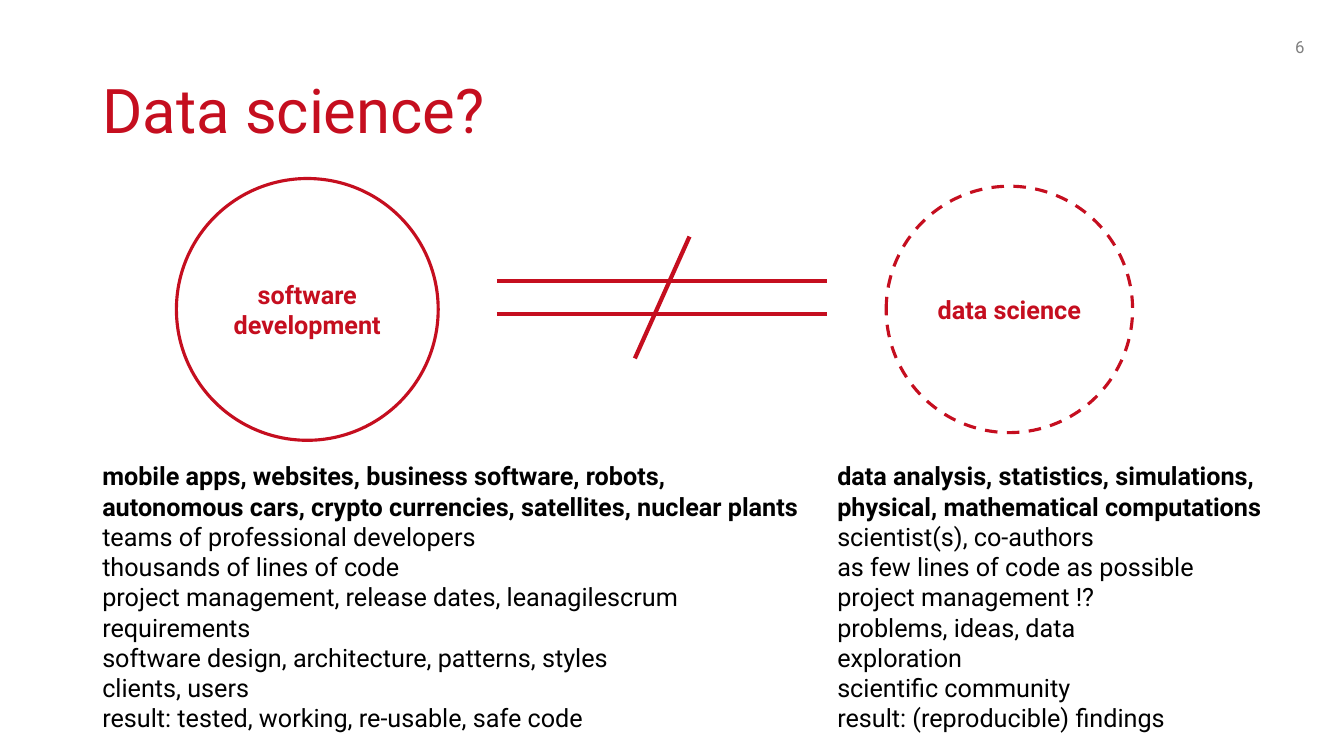
"""Build the slide that contrasts software development with data science."""
from lxml import etree
from pptx import Presentation
from pptx.dml.color import RGBColor
from pptx.enum import dml, shapes, text
from pptx.oxml.ns import qn
from pptx.util import Pt

RED = RGBColor(0xC5, 0x0E, 0x1F)
BLACK = RGBColor(0, 0, 0)
GRAY = RGBColor(0x80, 0x80, 0x80)
LEFT, CENTER, RIGHT = text.PP_ALIGN.LEFT, text.PP_ALIGN.CENTER, text.PP_ALIGN.RIGHT
TOP, MIDDLE = text.MSO_ANCHOR.TOP, text.MSO_ANCHOR.MIDDLE

SOFTWARE = [
    "mobile apps, websites, business software, robots, "
    "autonomous cars, crypto currencies, satellites, nuclear plants",
    "teams of professional developers",
    "thousands of lines of code",
    "project management, release dates, leanagilescrum",
    "requirements",
    "software design, architecture, patterns, styles",
    "clients, users",
    "result: tested, working, re-usable, safe code",
]
SCIENCE = [
    "data analysis, statistics, simulations, physical, mathematical computations",
    "scientist(s), co-authors",
    "as few lines of code as possible",
    "project management !?",
    "problems, ideas, data",
    "exploration",
    "scientific community",
    "result: (reproducible) findings",
]


def write(tf, lines, size, color, align=LEFT, anchor=TOP, bold_first=False):
    tf.word_wrap = True
    tf.vertical_anchor = anchor
    for i, line in enumerate(lines):
        p = tf.paragraphs[0] if i == 0 else tf.add_paragraph()
        p.text = line
        p.alignment = align
        p.font.name = "Roboto"
        p.font.size = Pt(size)
        p.font.color.rgb = color
        p.font.bold = bold_first and i == 0


def add_text(s, x, y, w, h, lines, size, color, **style):
    tf = s.shapes.add_textbox(Pt(x), Pt(y), Pt(w), Pt(h)).text_frame
    write(tf, lines, size, color, **style)
    return tf


def add_title(s, x, y, w, h, title):
    tf = add_text(s, x, y, w, h, [title], 44, RED, anchor=MIDDLE)
    tf.paragraphs[0].line_spacing = 0.9


def add_circle(s, x, y, size, label, dash=None):
    sp = s.shapes.add_shape(shapes.MSO_SHAPE.OVAL, Pt(x), Pt(y), Pt(size), Pt(size))
    sp.shadow.inherit = False
    sp.fill.background()
    sp.line.color.rgb = RED
    sp.line.width = Pt(2.25)
    if dash:
        sp.line.dash_style = dash
    write(sp.text_frame, [label], 18, RED, align=CENTER, anchor=MIDDLE, bold_first=True)


def add_line(s, x1, y1, x2, y2):
    c = s.shapes.add_connector(shapes.MSO_CONNECTOR.STRAIGHT, Pt(x1), Pt(y1), Pt(x2), Pt(y2))
    c.line.color.rgb = RED
    c.line.width = Pt(3)
    etree.SubElement(c._element.spPr, qn("a:effectLst"))


def add_not_equal(s, x, y, w, h):
    gap, slant = 24, 39
    mid = x + w / 2
    for bar_y in (y + h / 2 - gap / 2, y + h / 2 + gap / 2):
        add_line(s, x, bar_y, x + w, bar_y)
    add_line(s, mid - slant / 2, y + h, mid + slant / 2, y)


def main():
    prs = Presentation()
    prs.slide_width, prs.slide_height = Pt(960), Pt(540)
    s = prs.slides.add_slide(prs.slide_layouts[6])
    add_title(s, 66, 29, 828, 104, "Data science?")
    add_circle(s, 126, 127.5, 187, "software development")
    add_circle(s, 633, 133, 176, "data science", dml.MSO_LINE.DASH)
    add_not_equal(s, 355, 169, 236, 87)
    add_text(s, 66, 325.5, 515, 204, SOFTWARE, 18, BLACK, bold_first=True)
    add_text(s, 591, 325.5, 352, 204, SCIENCE, 18, BLACK, bold_first=True)
    add_text(s, 723, 19, 216, 29, ["6"], 12, GRAY, align=RIGHT, anchor=MIDDLE)
    prs.save("out.pptx")


if __name__ == "__main__":
    main()
